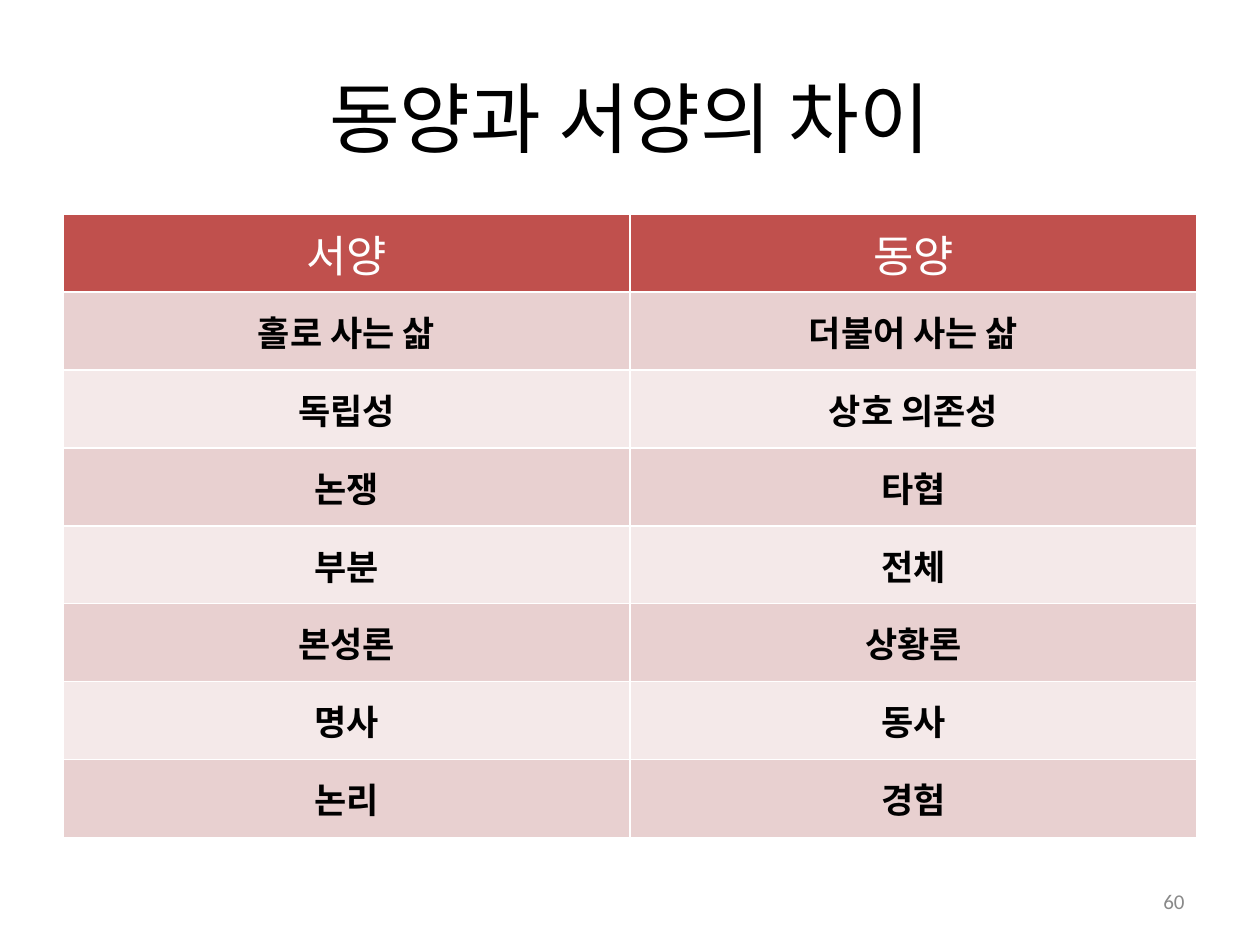
import pptx
import pptx.dml.color
import pptx.enum.text
import pptx.oxml
import pptx.oxml.ns
import pptx.util
from pptx.util import Cm

RGBColor = pptx.dml.color.RGBColor
Align = pptx.enum.text.PP_ALIGN
Anchor = pptx.enum.text.MSO_ANCHOR

BLACK = RGBColor(0x00, 0x00, 0x00)
WHITE = RGBColor(0xFF, 0xFF, 0xFF)
GRAY = RGBColor(0x89, 0x89, 0x89)
RED = RGBColor(0xC0, 0x50, 0x4D)
BANDS = (RGBColor(0xF4, 0xE9, 0xE9), RGBColor(0xE8, 0xD0, 0xD0))

LATIN_FONT = "Calibri"
KOREAN_FONT = "Noto Sans CJK KR"

TITLE = "동양과 서양의 차이"
PAGE_NUMBER = "60"
ROWS = [
    ("서양", "동양"),
    ("홀로 사는 삶", "더불어 사는 삶"),
    ("독립성", "상호 의존성"),
    ("논쟁", "타협"),
    ("부분", "전체"),
    ("본성론", "상황론"),
    ("명사", "동사"),
    ("논리", "경험"),
]

TITLE_FORMAT = {"size": pptx.util.Pt(44), "name": LATIN_FONT, "color": BLACK}
NUMBER_FORMAT = {"size": pptx.util.Pt(12), "name": LATIN_FONT, "color": GRAY}
HEADER_FORMAT = {"size": pptx.util.Pt(25), "name": KOREAN_FONT, "color": WHITE, "bold": False}
BODY_FORMAT = {"size": pptx.util.Pt(20), "name": KOREAN_FONT, "color": BLACK, "bold": True}

MARGIN = Cm(1.27)
CONTENT_WIDTH = Cm(22.86)
TABLE_TOP = Cm(4.32)
ROW_HEIGHT = Cm(1.57)


def write(frame, words, formats, align):
    """Put one formatted line of text into a text frame."""
    para = frame.paragraphs[0]
    para.alignment = align
    span = para.add_run()
    span.text = words
    for key, value in formats.items():
        if key == "color":
            span.font.color.rgb = value
        else:
            setattr(span.font, key, value)
    east_asian = pptx.oxml.parse_xml(
        f'<a:ea {pptx.oxml.ns.nsdecls("a")} typeface="{KOREAN_FONT}"/>')
    span.font._element.append(east_asian)


def add_text(page, words, place, formats, align):
    """Add a vertically centred text box."""
    box = page.shapes.add_textbox(*place)
    box.text_frame.word_wrap = True
    box.text_frame.vertical_anchor = Anchor.MIDDLE
    write(box.text_frame, words, formats, align)


def add_borders(cell):
    """Draw a thin white line on each side of a cell."""
    properties = cell._tc.get_or_add_tcPr()
    for side in ("lnL", "lnR", "lnT", "lnB"):
        properties.append(pptx.oxml.parse_xml(
            f'<a:{side} {pptx.oxml.ns.nsdecls("a")} w="12700"><a:solidFill>'
            f'<a:srgbClr val="{WHITE}"/></a:solidFill></a:{side}>'))


def add_comparison(page):
    """Add the table with a red header and banded rows."""
    column_count = len(ROWS[0])
    table = page.shapes.add_table(
        len(ROWS), column_count, MARGIN, TABLE_TOP,
        CONTENT_WIDTH, ROW_HEIGHT * len(ROWS)).table
    for column in table.columns:
        column.width = CONTENT_WIDTH // column_count
    for index, words_in_row in enumerate(ROWS):
        table.rows[index].height = ROW_HEIGHT
        fill = BANDS[index % 2] if index else RED
        formats = BODY_FORMAT if index else HEADER_FORMAT
        for column, words in enumerate(words_in_row):
            cell = table.cell(index, column)
            cell.vertical_anchor = Anchor.MIDDLE
            add_borders(cell)
            cell.fill.solid()
            cell.fill.fore_color.rgb = fill
            write(cell.text_frame, words, formats, Align.CENTER)


deck = pptx.Presentation()
deck.slide_width, deck.slide_height = Cm(25.4), Cm(19.05)
page = deck.slides.add_slide(deck.slide_layouts[6])
add_text(page, TITLE, (MARGIN, Cm(0.76), CONTENT_WIDTH, Cm(3.18)),
         TITLE_FORMAT, Align.CENTER)
add_comparison(page)
add_text(page, PAGE_NUMBER, (Cm(18.21), Cm(17.65), Cm(5.92), Cm(1.02)),
         NUMBER_FORMAT, Align.RIGHT)
deck.save("out.pptx")
